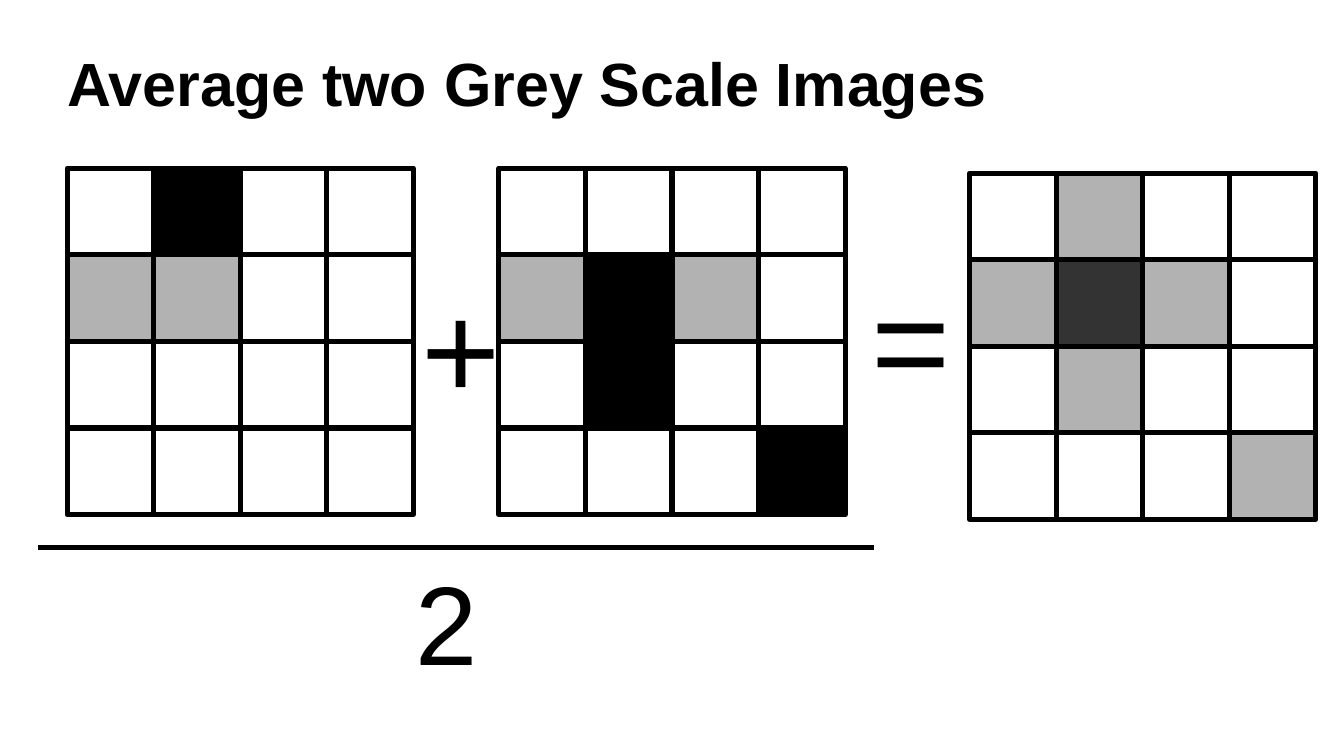
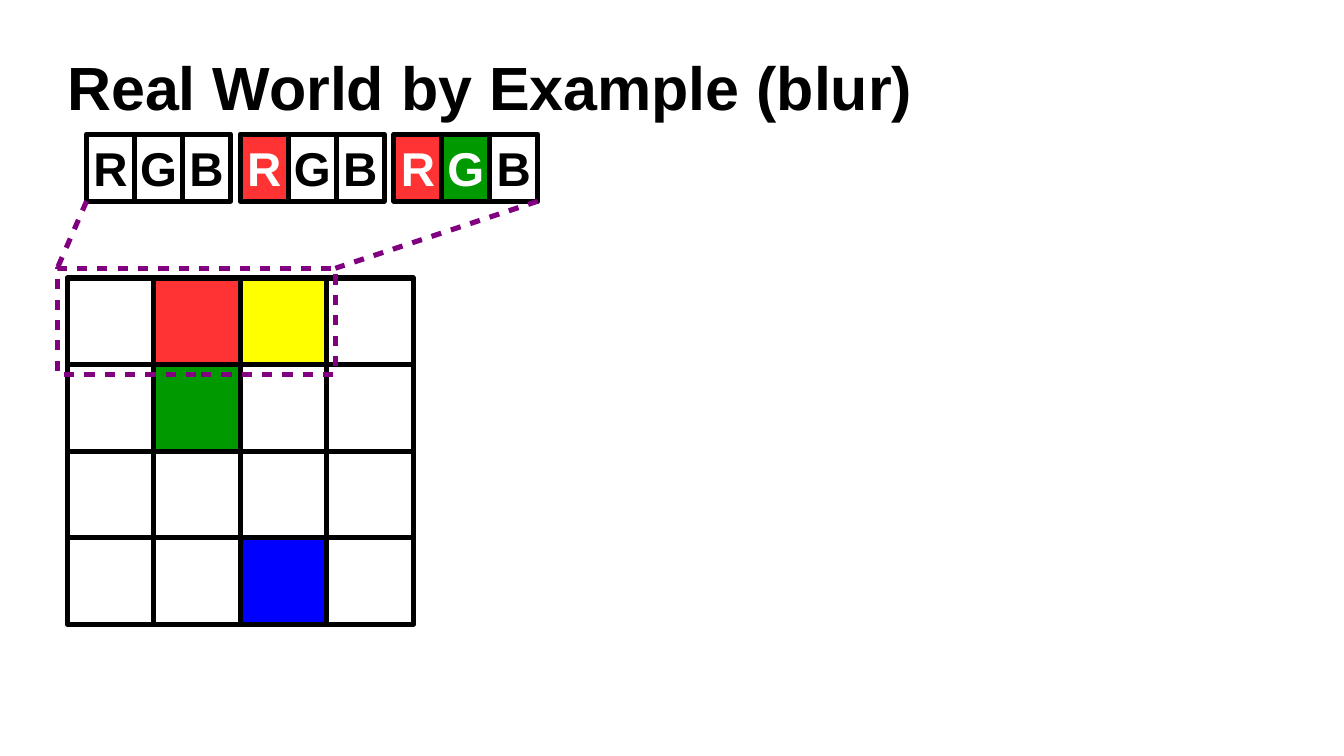
from dataclasses import dataclass

from lxml import etree
from pptx import Presentation
from pptx.dml.color import RGBColor
from pptx.enum import shapes, text
from pptx.oxml import ns
from pptx.util import Inches, Pt


@dataclass(frozen=True)
class Theme:
    font: str = "Arial"
    black: str = "000000"
    dark_grey: str = "333333"
    grey: str = "B2B2B2"
    white: str = "FFFFFF"
    red: str = "FF3333"
    green: str = "009900"
    blue: str = "0000FF"
    yellow: str = "FFFF00"
    purple: str = "800080"
    title_size: int = 36
    operator_size: int = 80
    divisor_size: int = 66
    channel_size: int = 28
    line_width: float = 3


THEME = Theme()
MARGIN = 0.55
CELL = 0.71
PIXEL_COLORS = {
    ".": THEME.white,
    "#": THEME.black,
    "d": THEME.dark_grey,
    "g": THEME.grey,
    "R": THEME.red,
    "G": THEME.green,
    "B": THEME.blue,
    "Y": THEME.yellow,
}


def add_slide(presentation, title, top):
    slide = presentation.slides.add_slide(presentation.slide_layouts[6])
    add_text(slide, title, (MARGIN, top, 9.92, 0.56), THEME.title_size, bold=True, inset=(0, 0))
    return slide


def write_text(shape, content, size, color, bold, align, anchor, wrap, inset):
    frame = shape.text_frame
    frame.word_wrap = wrap
    frame.vertical_anchor = anchor
    frame.margin_left = frame.margin_right = Inches(inset[0])
    frame.margin_top = frame.margin_bottom = Inches(inset[1])
    paragraph = frame.paragraphs[0]
    paragraph.text = content
    paragraph.alignment = align
    paragraph.font.name = THEME.font
    paragraph.font.size = Pt(size)
    paragraph.font.bold = bold
    paragraph.font.color.rgb = RGBColor.from_string(color)


def add_text(slide, content, box, size, bold=False, align=text.PP_ALIGN.LEFT,
             anchor=text.MSO_ANCHOR.MIDDLE, wrap=True, inset=(0.1, 0.05)):
    shape = slide.shapes.add_textbox(*map(Inches, box))
    write_text(shape, content, size, THEME.black, bold, align, anchor, wrap, inset)


def add_operator(slide, sign, left, top):
    add_text(slide, sign, (left, top, 0.79, CELL), THEME.operator_size,
             align=text.PP_ALIGN.CENTER, wrap=False)


def style_line(line, color, dashed=False):
    line.width = Pt(THEME.line_width)
    line.color.rgb = RGBColor.from_string(color)
    outline = line._get_or_add_ln()
    if dashed:
        dashes = etree.SubElement(outline, ns.qn("a:custDash"))
        etree.SubElement(dashes, ns.qn("a:ds"), d="200000", sp="200000")
    etree.SubElement(outline, ns.qn("a:round"))


def add_rectangle(slide, box, fill=None, line=THEME.black, dashed=False):
    shape = slide.shapes.add_shape(shapes.MSO_SHAPE.RECTANGLE, *map(Inches, box))
    shape.shadow.inherit = False
    if fill:
        shape.fill.solid()
        shape.fill.fore_color.rgb = RGBColor.from_string(fill)
    else:
        shape.fill.background()
    style_line(shape.line, line, dashed)
    return shape


def add_line(slide, start, end, color=THEME.black, dashed=False):
    connector = slide.shapes.add_connector(
        shapes.MSO_CONNECTOR.STRAIGHT, *map(Inches, (*start, *end)))
    style_line(connector.line, color, dashed)
    etree.SubElement(connector._element.spPr, ns.qn("a:effectLst"))


def add_pixel_grid(slide, left, top, rows):
    for row, pixels in enumerate(rows):
        for column, pixel in enumerate(pixels):
            box = (left + column * CELL, top + row * CELL, CELL, CELL)
            add_rectangle(slide, box, PIXEL_COLORS[pixel])


def add_channels(slide, left, top, width, height, active):
    channel_width = width / 3
    for index, channel in enumerate("RGB"):
        lit = channel in active
        box = (left + index * channel_width, top, channel_width, height)
        shape = add_rectangle(slide, box, PIXEL_COLORS[channel] if lit else THEME.white)
        write_text(shape, channel, THEME.channel_size, THEME.white if lit else THEME.black,
                   True, text.PP_ALIGN.CENTER, text.MSO_ANCHOR.MIDDLE, False, (0.12, 0.07))


def build_average(presentation):
    slide = add_slide(presentation, "Average two Grey Scale Images", 0.39)
    add_pixel_grid(slide, MARGIN, 1.38, (".#..", "gg..", "....", "...."))
    add_operator(slide, "+", 3.36, 2.48)
    add_pixel_grid(slide, 4.09, 1.38, ("....", "g#g.", ".#..", "...#"))
    add_operator(slide, "=", 7.05, 2.4)
    add_pixel_grid(slide, 7.95, 1.42, (".g..", "gdg.", ".g..", "...g"))
    add_line(slide, (0.31, 4.49), (7.17, 4.49))
    add_text(slide, "2", (3.31, 4.49, 0.82, 1.34), THEME.divisor_size,
             anchor=text.MSO_ANCHOR.TOP)


def build_blur(presentation):
    slide = add_slide(presentation, "Real World by Example (blur)", 0.43)
    add_pixel_grid(slide, MARGIN, 2.28, (".RY.", ".G..", "....", "..B."))

    left, top, width, height, pitch = 0.71, 1.1, 1.18, 0.55, 1.26
    active_channels = ("", "R", "RG")
    for index, active in enumerate(active_channels):
        add_channels(slide, left + index * pitch, top, width, height, active)

    right = left + (len(active_channels) - 1) * pitch + width
    bottom = top + height
    frame_left, frame_top, frame_width, frame_height = 0.47, 2.2, 2.28, 0.87
    for start, end in ((left, frame_left), (right, frame_left + frame_width)):
        add_line(slide, (start, bottom), (end, frame_top), THEME.purple, dashed=True)
    add_rectangle(slide, (frame_left, frame_top, frame_width, frame_height),
                  line=THEME.purple, dashed=True)


def main():
    presentation = Presentation()
    presentation.slide_width = Inches(11.02)
    presentation.slide_height = Inches(6.2)
    build_average(presentation)
    build_blur(presentation)
    presentation.save("out.pptx")


if __name__ == "__main__":
    main()
